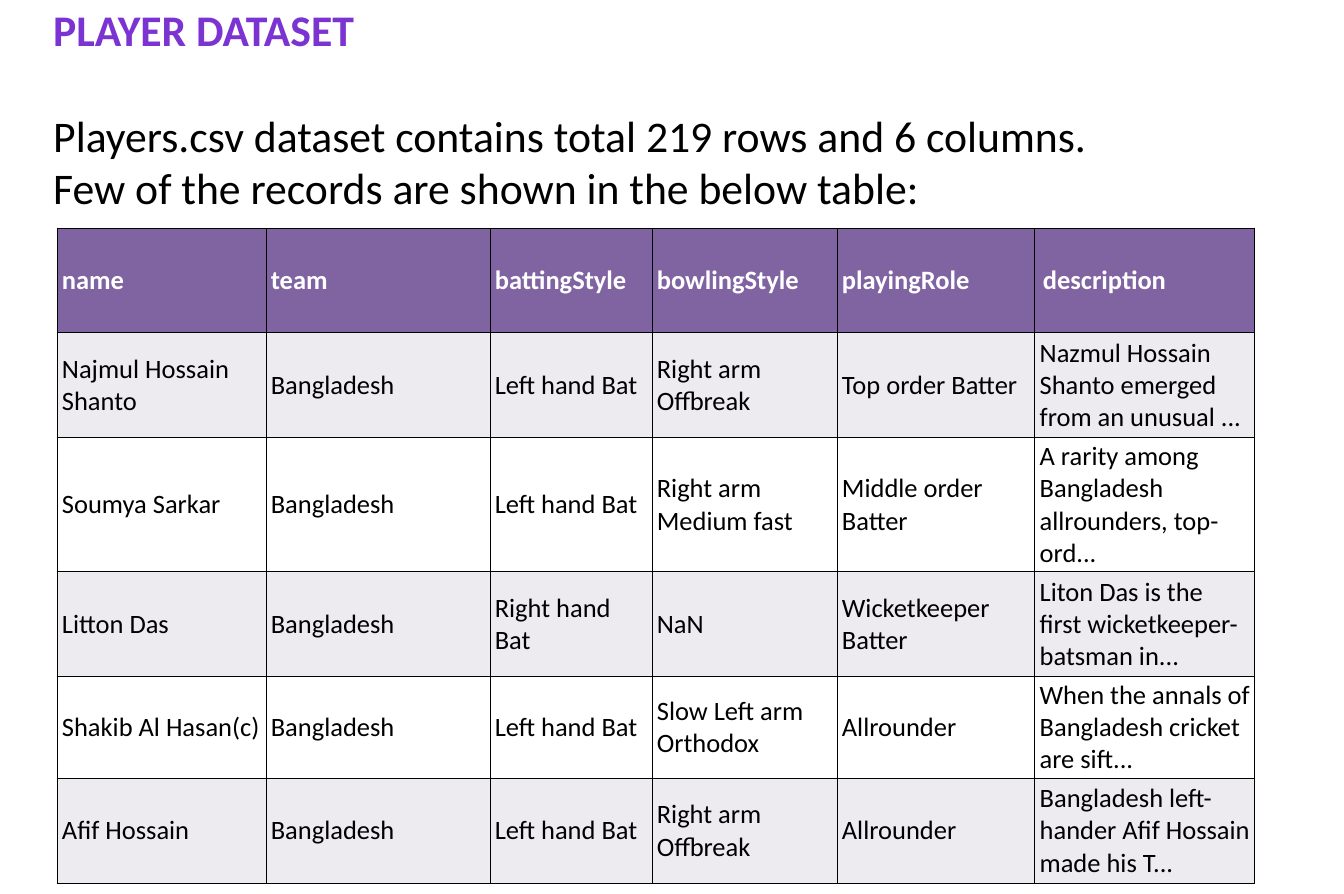
"""Build the player dataset slide: a heading, an introduction and a table of records."""
import pptx
import pptx.util
import pptx.dml.color
import pptx.enum.text
import lxml.etree

Inches, Pt = pptx.util.Inches, pptx.util.Pt
RGBColor = pptx.dml.color.RGBColor
MIDDLE = pptx.enum.text.MSO_ANCHOR.MIDDLE

VIOLET = RGBColor(0x7B, 0x34, 0xD2)
HEADER = RGBColor(0x80, 0x64, 0xA2)
BAND = RGBColor(0xED, 0xEA, 0xF0)
WHITE = RGBColor(0xFF, 0xFF, 0xFF)
BLACK = RGBColor(0x00, 0x00, 0x00)
FONT = "Calibri"
NS = "http://schemas.openxmlformats.org/drawingml/2006/main"

COLUMN_WIDTHS = [2.63, 2.82, 2.04, 2.33, 2.49, 2.77]
ROW_HEIGHTS = [1.32, 1.32, 1.68, 1.32, 1.27, 1.32]
RECORDS = [
    ["name", "team", "battingStyle", "bowlingStyle", "playingRole", "description"],
    ["Najmul Hossain Shanto", "Bangladesh", "Left hand Bat", "Right arm Offbreak",
     "Top order Batter", "Nazmul Hossain Shanto emerged from an unusual ..."],
    ["Soumya Sarkar", "Bangladesh", "Left hand Bat", "Right arm Medium fast",
     "Middle order Batter", "A rarity among Bangladesh allrounders, top-ord..."],
    ["Litton Das", "Bangladesh", "Right hand Bat", "NaN",
     "Wicketkeeper Batter", "Liton Das is the first wicketkeeper-batsman in..."],
    ["Shakib Al Hasan(c)", "Bangladesh", "Left hand Bat", "Slow Left arm Orthodox",
     "Allrounder", "When the annals of Bangladesh cricket are sift..."],
    ["Afif Hossain", "Bangladesh", "Left hand Bat", "Right arm Offbreak",
     "Allrounder", "Bangladesh left-hander Afif Hossain made his T..."],
]


def format_text(p, size, color, bold):
    p.alignment = pptx.enum.text.PP_ALIGN.LEFT
    for r in p.runs:
        r.font.name = FONT
        r.font.size = Pt(size)
        r.font.bold = bold
        r.font.color.rgb = color


def add_borders(cell):
    tcPr = cell._tc.get_or_add_tcPr()
    for side in ("lnL", "lnR", "lnT", "lnB"):
        ln = lxml.etree.SubElement(tcPr, f"{{{NS}}}{side}", w=str(Pt(1)))
        fill = lxml.etree.SubElement(ln, f"{{{NS}}}solidFill")
        lxml.etree.SubElement(fill, f"{{{NS}}}srgbClr", val=str(BLACK))


prs = pptx.Presentation()
prs.slide_width, prs.slide_height = Inches(16.92), Inches(11.25)
s = prs.slides.add_slide(prs.slide_layouts[5])

title = s.shapes.title
title.left, title.top = Inches(0.57), Inches(1.09)
title.width, title.height = Inches(14.3), Inches(1.09)
tf = title.text_frame
tf.text = ("PLAYER DATASET\n"
           "Players.csv dataset contains total 219 rows and 6 columns.\n"
           "Few of the records are shown in the below table:")
tf.word_wrap = True
tf.auto_size = pptx.enum.text.MSO_AUTO_SIZE.NONE
tf.vertical_anchor = MIDDLE
tf.margin_bottom = Inches(0.6)
heading, *introduction = tf.paragraphs
format_text(heading, 39.6, VIOLET, True)
heading.space_after = Pt(48)
for p in introduction:
    format_text(p, 39.6, BLACK, False)

frame = s.shapes.add_table(len(ROW_HEIGHTS), len(COLUMN_WIDTHS), Inches(0.72), Inches(2.87),
                           Inches(sum(COLUMN_WIDTHS)), Inches(sum(ROW_HEIGHTS)))
table = frame.table
for column, width in zip(table.columns, COLUMN_WIDTHS):
    column.width = Inches(width)
for row, height in zip(table.rows, ROW_HEIGHTS):
    row.height = Inches(height)

for i, record in enumerate(RECORDS):
    is_header = i == 0
    for j, value in enumerate(record):
        cell = table.cell(i, j)
        cell.text = value
        cell.vertical_anchor = MIDDLE
        cell.margin_left = cell.margin_right = Inches(0.06)
        cell.margin_top = cell.margin_bottom = Inches(0.03)
        add_borders(cell)
        cell.fill.solid()
        cell.fill.fore_color.rgb = HEADER if is_header else BAND if i % 2 else WHITE
        format_text(cell.text_frame.paragraphs[0], 24, WHITE if is_header else BLACK, is_header)
table.cell(0, 5).margin_left = Inches(0.1)

prs.save("out.pptx")
